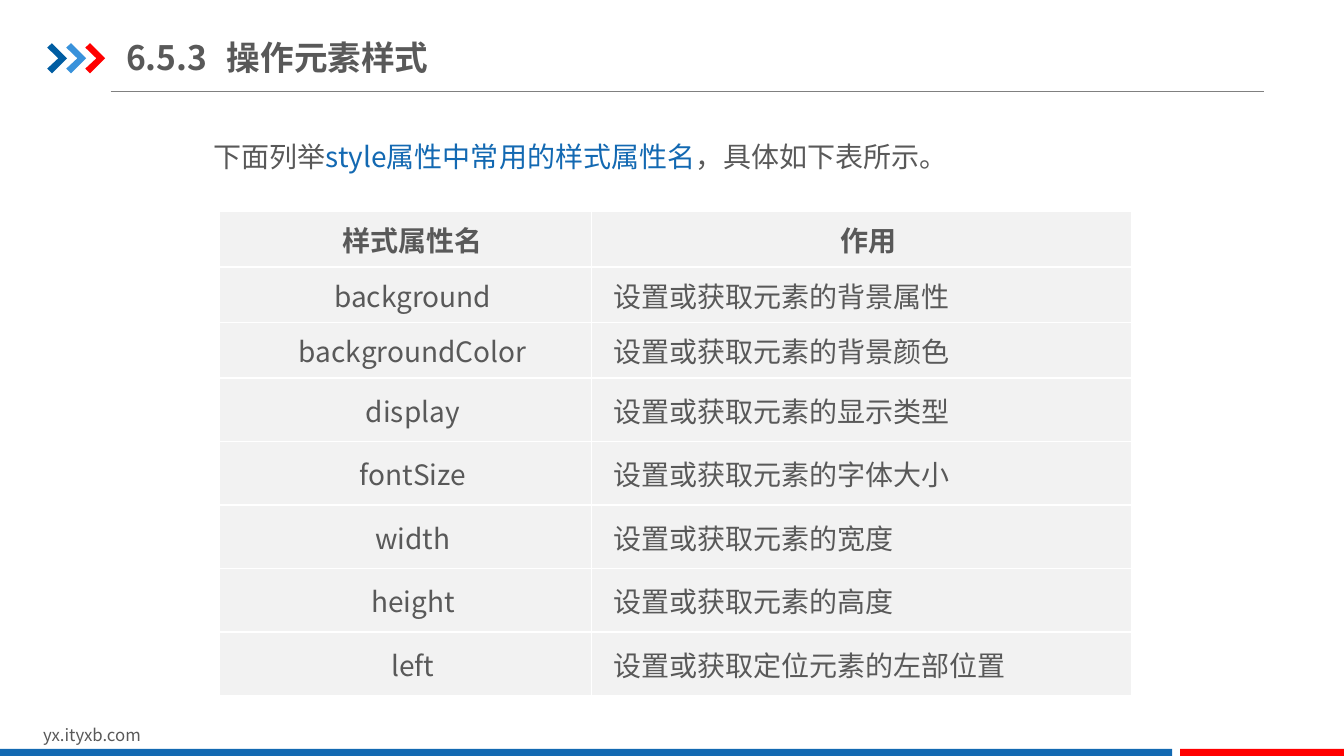
from lxml import etree
from pptx import Presentation, util as u
from pptx.dml.color import RGBColor
from pptx.enum import shapes, text
from pptx.oxml import parse_xml
from pptx.oxml.ns import nsdecls, qn

COLORS = {"ink": "595959", "blue": "1369B2", "navy": "005DA2", "sky": "3992DB",
          "red": "FF0000", "rule": "808080", "cell": "F2F2F2", "border": "FFFFFF"}
FONT = "Noto Sans CJK SC"
CHEVRON = [(0, 0.11), (0.12, 0), (0.5, 0.38), (0.12, 0.76), (0, 0.64), (0.28, 0.38)]
ROWS = [
    ("样式属性名", "作用"),
    ("background", "设置或获取元素的背景属性"),
    ("backgroundColor", "设置或获取元素的背景颜色"),
    ("display", "设置或获取元素的显示类型"),
    ("fontSize", "设置或获取元素的字体大小"),
    ("width", "设置或获取元素的宽度"),
    ("height", "设置或获取元素的高度"),
    ("left", "设置或获取定位元素的左部位置"),
]


def rgb(name):
    return RGBColor.from_string(COLORS[name])


def add_run(p, content, size=20, color="ink", bold=False):
    r = p.add_run()
    r.text = content
    r.font.size = u.Pt(size)
    r.font.bold = bold
    r.font.color.rgb = rgb(color)
    r.font.name = FONT
    etree.SubElement(r.font._element, qn("a:ea"), typeface=FONT)


class Deck:
    def __init__(self):
        self.prs = Presentation()
        self.prs.slide_width, self.prs.slide_height = u.Cm(33.87), u.Cm(19.05)
        self.s = self.prs.slides.add_slide(self.prs.slide_layouts[6])

    def paint(self, sp, color):
        sp.shadow.inherit = False
        sp.fill.solid()
        sp.fill.fore_color.rgb = rgb(color)
        sp.line.fill.background()

    def rule(self, x1, x2, y):
        line = self.s.shapes.add_connector(
            shapes.MSO_CONNECTOR.STRAIGHT, u.Cm(x1), u.Cm(y), u.Cm(x2), u.Cm(y))
        line.line.color.rgb = rgb("rule")
        line.line.width = u.Pt(0.75)
        etree.SubElement(line._element.spPr, qn("a:effectLst"))

    def chevron(self, x, y, color):
        points = [(u.Cm(x + dx), u.Cm(y + dy)) for dx, dy in CHEVRON]
        builder = self.s.shapes.build_freeform(*points[0])
        builder.add_line_segments(points[1:], close=True)
        self.paint(builder.convert_to_shape(), color)

    def bar(self, x, y, w, h, color):
        sp = self.s.shapes.add_shape(
            shapes.MSO_SHAPE.RECTANGLE, u.Cm(x), u.Cm(y), u.Cm(w), u.Cm(h))
        self.paint(sp, color)

    def textbox(self, x, y, w, h, runs, margin=0.25, spacing=None, align=None,
                anchor=text.MSO_ANCHOR.TOP, **style):
        tf = self.s.shapes.add_textbox(u.Cm(x), u.Cm(y), u.Cm(w), u.Cm(h)).text_frame
        tf.word_wrap = True
        tf.vertical_anchor = anchor
        tf.margin_left = tf.margin_right = u.Cm(margin)
        p = tf.paragraphs[0]
        p.line_spacing = spacing
        p.alignment = align
        for content, color in runs:
            add_run(p, content, color=color, **style)

    def cell(self, cell, content, centered, bold):
        cell.margin_left = cell.margin_right = u.Cm(0.18)
        cell.margin_top = cell.margin_bottom = 0
        cell.vertical_anchor = text.MSO_ANCHOR.MIDDLE
        tc_pr = cell._tc.get_or_add_tcPr()
        for side in "LRTB":
            tc_pr.append(parse_xml(
                f'<a:ln{side} {nsdecls("a")} w="12700"><a:solidFill>'
                f'<a:srgbClr val="{COLORS["border"]}"/></a:solidFill></a:ln{side}>'))
        cell.fill.solid()
        cell.fill.fore_color.rgb = rgb("cell")
        p = cell.text_frame.paragraphs[0]
        p.alignment = text.PP_ALIGN.CENTER if centered else text.PP_ALIGN.LEFT
        p._p.get_or_add_pPr().set("indent", str(u.Cm(0.36)))
        add_run(p, content, bold=bold)

    def table(self, x, y, widths, heights, rows):
        table = self.s.shapes.add_table(
            len(rows), len(widths), u.Cm(x), u.Cm(y),
            u.Cm(sum(widths)), u.Cm(sum(heights))).table
        for column, width in zip(table.columns, widths):
            column.width = u.Cm(width)
        for i, (height, row) in enumerate(zip(heights, rows)):
            table.rows[i].height = u.Cm(height)
            for j, content in enumerate(row):
                self.cell(table.cell(i, j), content, i == 0 or j == 0, i == 0)


def main():
    deck = Deck()
    deck.rule(2.79, 31.85, 2.31)
    for i, color in enumerate(("navy", "sky", "red")):
        deck.chevron(1.19 + 0.48 * i, 1.09, color)
    deck.textbox(0.84, 18.14, 8.08, 0.76, [("yx.ityxb.com", "ink")], size=12)
    deck.bar(0, 18.87, 29.54, 0.23, "blue")
    deck.bar(29.74, 18.87, 4.13, 0.23, "red")
    deck.textbox(3.18, 0.74, 15.75, 1.4, [("6.5.3\t操作元素样式", "ink")],
                 margin=0, anchor=text.MSO_ANCHOR.MIDDLE, size=24, bold=True)
    deck.textbox(5.13, 2.97, 23.01, 1.55,
                 [("下面列举", "ink"), ("style属性中常用的样式属性名", "blue"),
                  ("，具体如下表所示。", "ink")],
                 spacing=1.5, align=text.PP_ALIGN.JUSTIFY)
    deck.table(5.54, 5.33, [9.37, 13.61], [1.4] * 3 + [1.6] * 5, ROWS)
    deck.prs.save("out.pptx")


if __name__ == "__main__":
    main()
